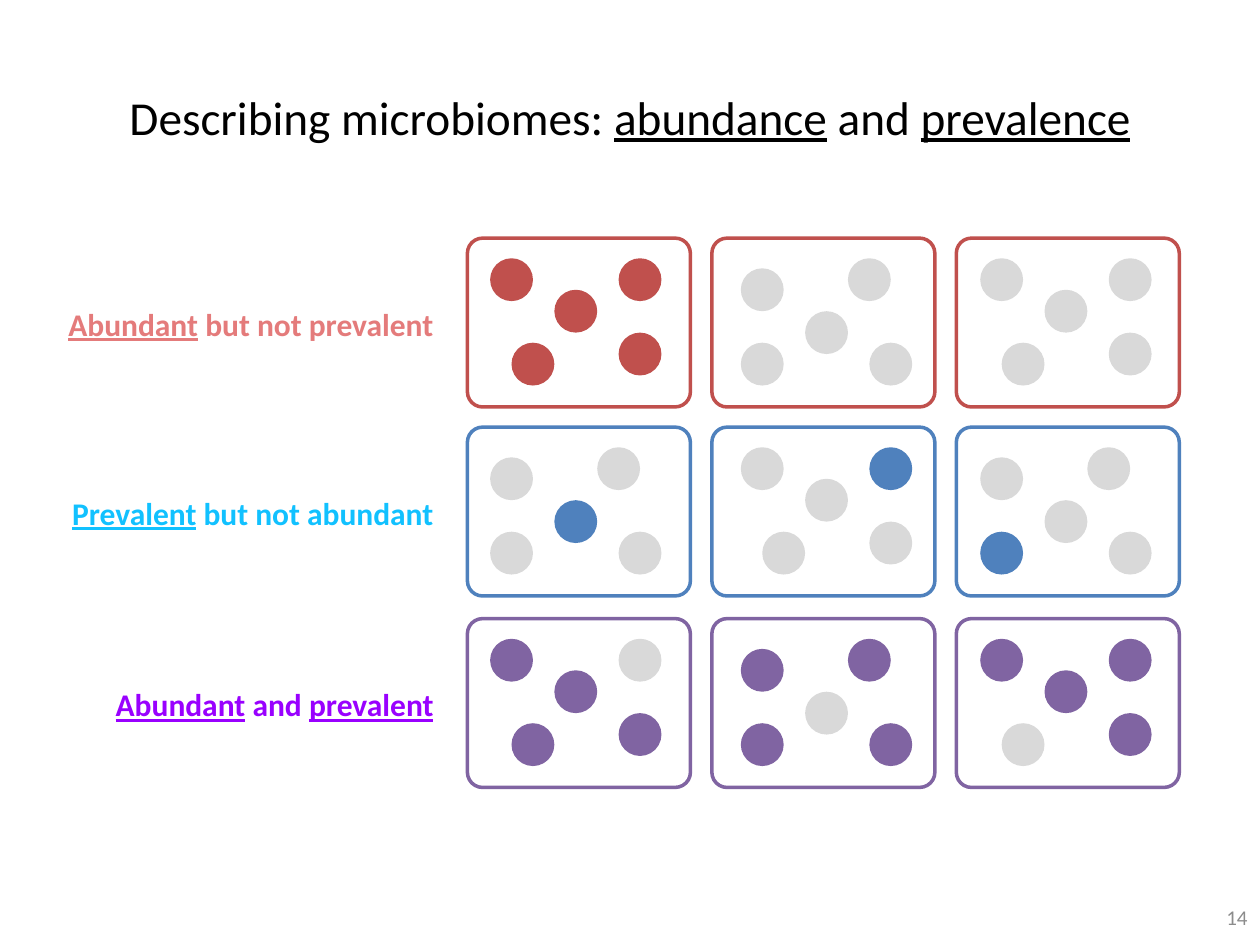
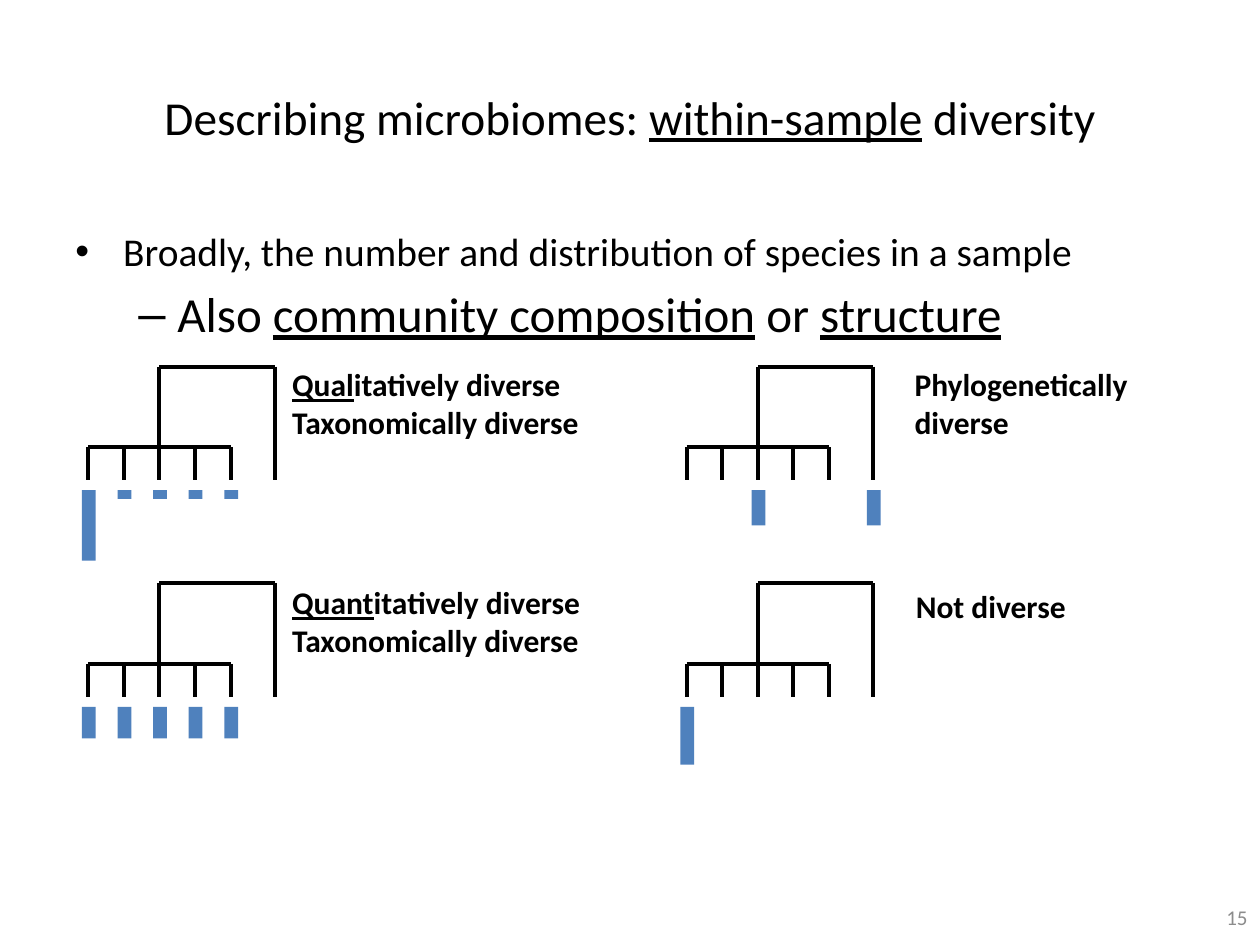
import lxml.etree
import pptx
import pptx.dml.color
import pptx.enum.shapes
import pptx.enum.text
import pptx.oxml.ns
import pptx.util

Inches, Pt = pptx.util.Inches, pptx.util.Pt
Align, Anchor = pptx.enum.text.PP_ALIGN, pptx.enum.text.MSO_ANCHOR
Kind = pptx.enum.shapes.MSO_SHAPE
qn = pptx.oxml.ns.qn

FONT = "Calibri"
BLACK, WHITE, GRAY, BLUE, PALE = "000000", "FFFFFF", "8C8C8C", "4F81BD", "D9D9D9"

# Text between underscores is underlined.
TITLES = {
    14: "Describing microbiomes: _abundance_ and _prevalence_",
    15: "Describing microbiomes: _within-sample_ diversity",
}

# label, label colour, row colour, indices of coloured dots in each sample
ROWS = [
    ("_Abundant_ but not prevalent", "E47B7B", "C0504D", [{0, 1, 2, 3, 4}, set(), set()]),
    ("_Prevalent_ but not abundant", "11C1FF", BLUE, [{1}, {3}, {3}]),
    ("_Abundant_ and _prevalent_", "9900FF", "8064A2",
     [{0, 1, 2, 4}, {0, 2, 3, 4}, {0, 1, 3, 4}]),
]
TOPS = [1.89, 3.39, 4.91]
BOX_W, BOX_H, BOX_X, BOX_STEP = 1.77, 1.34, 3.71, 1.94
DOT = 0.34
DOT_X = [3.89, 5.88, 7.78]
DOTS = [(0, 0), (0.51, 0.25), (0.17, 0.67), (1.02, 0), (1.02, 0.59)]
SPAN_X, SPAN_Y = 1.02, 0.67

# text, size, left indent, hanging indent, bullet, space before
POINTS = [
    ("Broadly, the number and distribution of species in a sample", 22.5, 0.38, 0.38, "•", 0),
    ("Also _community composition_ or _structure_", 28, 0.81, 0.31, "–", 5.6),
]

# tree left and top, bar heights by tip, label, label box
TREES = [
    (0.7, 2.91, [0.56, 0.07, 0.07, 0.07, 0.07, 0],
     ["_Qual_itatively diverse", "Taxonomically diverse"], (2.22, 2.85, 3.06, 0.71)),
    (5.45, 2.91, [0, 0, 0.28, 0, 0, 0.28],
     ["Phylogenetically diverse"], (7.16, 2.85, 2.15, 0.71)),
    (0.7, 4.63, [0.25] * 5 + [0],
     ["_Quant_itatively diverse", "Taxonomically diverse"], (2.22, 4.58, 3.06, 0.71)),
    (5.45, 4.63, [0.46, 0, 0, 0, 0, 0], ["Not diverse"], (7.17, 4.61, 2.3, 0.4)),
]
TIPS = [1.13 / 4 * i for i in range(5)] + [1.48]
FORK, FOOT, BAR_Y, BAR_W = 0.64, 0.9, 0.98, 0.11


def rgb(code):
    return pptx.dml.color.RGBColor.from_string(code)


def write(para, text, size=18, color=BLACK, bold=False, align=Align.LEFT):
    """Fill a paragraph, underlining the parts between underscores."""
    para.alignment = align
    for i, part in enumerate(text.split("_")):
        if part:
            run = para.add_run()
            run.text = part
            font = run.font
            font.name, font.size, font.bold = FONT, Pt(size), bold
            font.underline = i % 2 == 1
            font.color.rgb = rgb(color)


def frame(slide, box, anchor=Anchor.TOP):
    """Add an empty wrapped text box and return its text frame."""
    body = slide.shapes.add_textbox(*map(Inches, box)).text_frame
    body.word_wrap = True
    body.vertical_anchor = anchor
    return body


def paras(body, count):
    return [body.paragraphs[0]] + [body.add_paragraph() for _ in range(count - 1)]


def label(slide, box, lines, anchor=Anchor.TOP, **style):
    body = frame(slide, box, anchor)
    for para, line in zip(paras(body, len(lines)), lines):
        write(para, line, **style)


def bullet(para, sign, left, hang):
    props = para._p.get_or_add_pPr()
    props.set("marL", str(Inches(left)))
    props.set("indent", str(-Inches(hang)))
    lxml.etree.SubElement(props, qn("a:buFont")).set("typeface", "Arial")
    lxml.etree.SubElement(props, qn("a:buChar")).set("char", sign)


def shape(slide, kind, box, fill, line=None):
    item = slide.shapes.add_shape(kind, *map(Inches, box))
    item.shadow.inherit = False
    item.fill.solid()
    item.fill.fore_color.rgb = rgb(fill)
    if line:
        item.line.color.rgb = rgb(line)
        item.line.width = Pt(2)
    else:
        item.line.fill.background()
    return item


def stroke(slide, x1, y1, x2, y2):
    line = slide.shapes.add_connector(
        pptx.enum.shapes.MSO_CONNECTOR.STRAIGHT, *map(Inches, (x1, y1, x2, y2)))
    line.line.color.rgb = rgb(BLACK)
    line.line.width = Pt(2.25)
    lxml.etree.SubElement(line._element.spPr, qn("a:effectLst"))


def start(deck, number):
    """Add a slide with its title and slide number."""
    slide = deck.slides.add_slide(deck.slide_layouts[6])
    label(slide, (0.5, 0.3, 9, 1.25), [TITLES[number]], Anchor.MIDDLE,
          size=27, align=Align.CENTER)
    label(slide, (7.67, 7.08, 2.33, 0.4), [str(number)], Anchor.MIDDLE,
          size=12, color=GRAY, align=Align.RIGHT)
    return slide


def sample(slide, left, top, color, lit, turned):
    """Draw five dots, turned half round in every other sample."""
    for i, (x, y) in enumerate(DOTS):
        if turned:
            x, y = SPAN_X - x, SPAN_Y - y
        shape(slide, Kind.OVAL, (left + x, top + y, DOT, DOT), color if i in lit else PALE)


def grid(slide):
    for row, (text, tint, color, lits) in enumerate(ROWS):
        top = TOPS[row]
        for col, lit in enumerate(lits):
            box = shape(slide, Kind.ROUNDED_RECTANGLE,
                        (BOX_X + col * BOX_STEP, top, BOX_W, BOX_H), WHITE, color)
            box.adjustments[0] = 0.09
            sample(slide, DOT_X[col], top + 0.16, color, lit, (row + col) % 2)
        label(slide, (0.41, top + 0.48, 3.13, 0.4), [text],
              color=tint, bold=True, align=Align.RIGHT)


def tree(slide, left, top, bars):
    xs = [left + tip for tip in TIPS]
    stem, out = xs[2], xs[-1]
    fork, foot = top + FORK, top + FOOT
    stroke(slide, stem, top, out, top)
    stroke(slide, stem, top, stem, fork)
    stroke(slide, out, top, out, foot)
    stroke(slide, xs[0], fork, xs[4], fork)
    for x in xs[:5]:
        stroke(slide, x, fork, x, foot)
    for x, high in zip(xs, bars):
        if high:
            shape(slide, Kind.RECTANGLE, (x - 0.05, top + BAR_Y, BAR_W, high), BLUE)


def main():
    deck = pptx.Presentation()
    deck.slide_width, deck.slide_height = Inches(10), Inches(7.5)

    grid(start(deck, 14))

    slide = start(deck, 15)
    body = frame(slide, (0.5, 1.75, 9, 4.95))
    for para, point in zip(paras(body, len(POINTS)), POINTS):
        text, size, left, hang, sign, gap = point
        bullet(para, sign, left, hang)
        para.space_before = Pt(gap)
        write(para, text, size=size)
    for left, top, bars, lines, box in TREES:
        tree(slide, left, top, bars)
        label(slide, box, lines, bold=True)

    deck.save("out.pptx")


if __name__ == "__main__":
    main()
